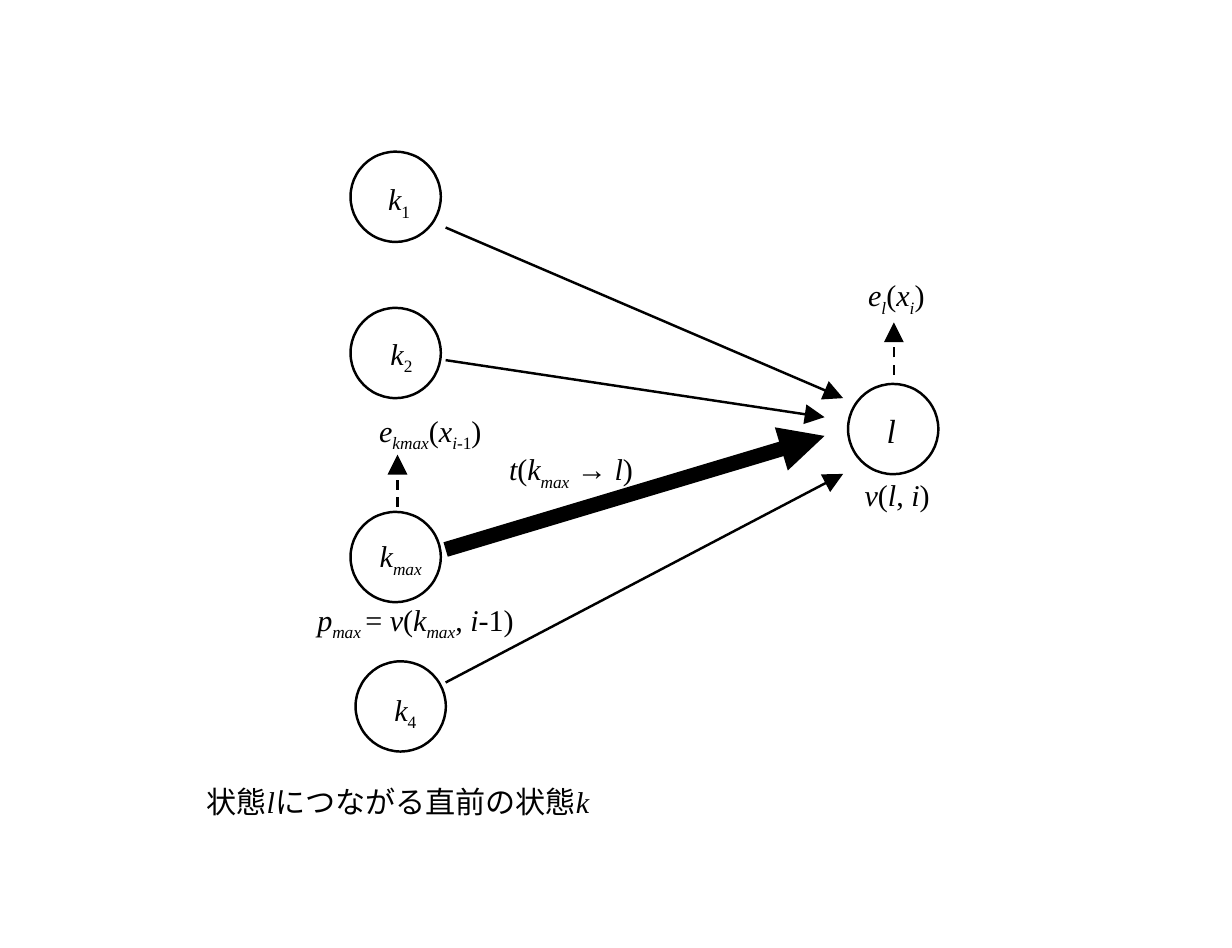
from dataclasses import dataclass

from lxml import etree
from pptx import Presentation
from pptx import util as u
from pptx.dml import color
from pptx.enum import dml, shapes, text
from pptx.oxml import ns


@dataclass(frozen=True)
class Theme:
    ink = color.RGBColor(0, 0, 0)
    paper = color.RGBColor(255, 255, 255)
    serif = "Times New Roman"
    mono = "Courier New"
    label_size = u.Pt(9)
    state_size = u.Pt(10)
    thin = u.Pt(0.75)
    thick = u.Pt(4.5)


THEME = Theme()
COLUMNS, ROWS = 512, 394
WIDTH, HEIGHT = u.Inches(5.12), u.Inches(3.94)
DIAMETER = 37.5
LABEL_HEIGHT = 27
LABEL_SLACK = 10

STYLES = {
    "plain": {"name": THEME.serif, "italic": False},
    "italic": {"name": THEME.serif, "italic": True},
    "mono": {"name": THEME.mono, "italic": False},
}
BOX_FORMAT = {
    "word_wrap": True,
    "auto_size": text.MSO_AUTO_SIZE.NONE,
    "vertical_anchor": text.MSO_ANCHOR.TOP,
}

STATES = [(164.4, 81.8), (164.4, 146.7), (164.4, 231.5), (166.5, 293.6)]
TARGET = (371.2, 178.3)
TRANSITIONS = [
    ((185.2, 94.6), (350.4, 165.5), THEME.thin),
    ((185.2, 149.7), (342.7, 173.4), THEME.thin),
    ((185.2, 283.7), (350.4, 197), THEME.thin),
    ((185.2, 228.4), (342.7, 181.2), THEME.thick),
]
EMISSIONS = [((371.5, 155.7), (371.5, 134)), ((165.2, 210.7), (165.2, 189))]

K_MAX = [("k", "italic"), ("max", "italic sub")]
LABELS = [
    (148, 218.6, 37, K_MAX),
    (201.7, 182.4, 71, [("t", "italic"), ("(", "plain"), *K_MAX,
                        (" → ", "plain"), ("l", "italic"), (")", "plain")]),
    (351, 110, 43, [("e", "italic"), ("l", "italic sub"), ("(", "plain"),
                    ("x", "italic"), ("i", "italic sub"), (")", "plain")]),
    (147.7, 166.4, 62, [("e", "italic"), ("kmax", "italic sub"), ("(", "plain"),
                        ("x", "italic"), ("i", "italic sub"),
                        ("-1", "plain sub"), (")", "plain")]),
    (76, 320.6, 188, [("状態", "mono"), ("l", "italic"),
                      ("につながる直前の状態", "mono"), ("k", "italic")]),
    (349.5, 193, 47, [("v", "italic"), ("(", "plain"), ("l", "italic"),
                      (", ", "plain"), ("i", "italic"), (")", "plain")]),
    (122, 245, 101, [("p", "italic"), ("max ", "italic sub"), ("= ", "plain"),
                     ("v", "italic"), ("(", "plain"), *K_MAX, (", ", "plain"),
                     ("i", "italic"), ("-1)", "plain")]),
]
NUMBERED = [(151.4, 70.2, "1"), (152.4, 134.4, "2"), (154, 282.4, "4")]


def across(columns):
    return round(WIDTH * columns / COLUMNS)


def down(rows):
    return round(HEIGHT * rows / ROWS)


def apply_format(target, values):
    for name, value in values.items():
        setattr(target, name, value)


def add_state(slide, center, filled=True):
    x, y = center
    circle = slide.shapes.add_shape(
        shapes.MSO_SHAPE.OVAL, across(x - DIAMETER / 2), down(y - DIAMETER / 2),
        across(DIAMETER), down(DIAMETER))
    circle.shadow.inherit = False
    if filled:
        circle.fill.solid()
        circle.fill.fore_color.rgb = THEME.paper
    else:
        circle.fill.background()
    circle.line.color.rgb = THEME.ink
    circle.line.width = THEME.thin


def add_arrow(slide, start, end, width=THEME.thin, dashed=False):
    arrow = slide.shapes.add_connector(
        shapes.MSO_CONNECTOR.STRAIGHT, across(start[0]), down(start[1]),
        across(end[0]), down(end[1]))
    arrow.line.color.rgb = THEME.ink
    arrow.line.width = width
    if dashed:
        arrow.line.dash_style = dml.MSO_LINE.DASH
    properties = arrow._element.spPr
    outline = properties.find(ns.qn("a:ln"))
    etree.SubElement(outline, ns.qn("a:tailEnd"), type="triangle")
    etree.SubElement(properties, ns.qn("a:effectLst"))


def add_label(slide, left, top, width, pieces, size=THEME.label_size):
    box = slide.shapes.add_textbox(
        across(left), down(top), across(width + LABEL_SLACK), down(LABEL_HEIGHT))
    apply_format(box.text_frame, BOX_FORMAT)
    paragraph = box.text_frame.paragraphs[0]
    paragraph.alignment = text.PP_ALIGN.LEFT
    for content, style in pieces:
        face, _, subscript = style.partition(" ")
        run = paragraph.add_run()
        run.text = content
        apply_format(run.font, {"size": size, **STYLES[face]})
        run.font.color.rgb = THEME.ink
        if subscript:
            run._r.get_or_add_rPr().set("baseline", "-25000")


def main():
    presentation = Presentation()
    apply_format(presentation, {"slide_width": WIDTH, "slide_height": HEIGHT})
    slide = presentation.slides.add_slide(presentation.slide_layouts[6])
    for center in STATES:
        add_state(slide, center)
    add_state(slide, TARGET, filled=False)
    for start, end, width in TRANSITIONS:
        add_arrow(slide, start, end, width)
    for start, end in EMISSIONS:
        add_arrow(slide, start, end, dashed=True)
    add_label(slide, 358.7, 165.7, 24, [("l", "italic")], THEME.state_size)
    for left, top, width, pieces in LABELS:
        add_label(slide, left, top, width, pieces)
    for left, top, number in NUMBERED:
        add_label(slide, left, top, 29, [("k", "italic"), (number, "plain sub")])
    presentation.save("out.pptx")


if __name__ == "__main__":
    main()
